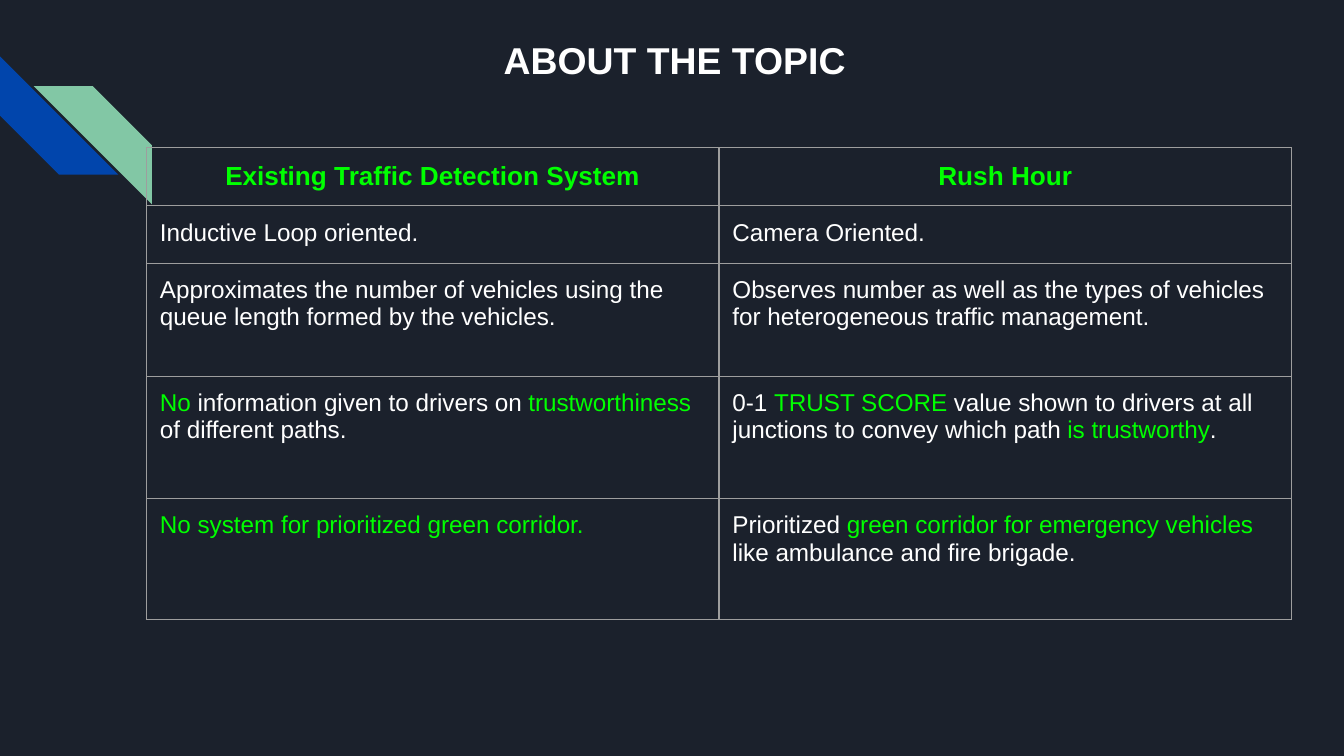
"""Build a slide comparing the existing traffic detection system with Rush Hour."""
from dataclasses import dataclass

from lxml import etree
from pptx import Presentation
from pptx.dml.color import RGBColor
from pptx.enum.shapes import MSO_SHAPE
from pptx.enum.text import MSO_ANCHOR, PP_ALIGN
from pptx.oxml.ns import qn
from pptx.util import Inches, Pt

STRIPE = MSO_SHAPE.DIAGONAL_STRIPE
CENTER, LEFT = PP_ALIGN.CENTER, PP_ALIGN.LEFT
TOP = MSO_ANCHOR.TOP
FONT = "Arial"
COLORS = {
    "background": "1B212C",
    "blue": "0145AC",
    "mint": "82C7A5",
    "text": "FFFFFF",
    "accent": "00FF00",
    "border": "9E9E9E",
}
SLIDE_WIDTH = Inches(10)
SLIDE_HEIGHT = SLIDE_WIDTH * 9 // 16
STRIPE_SIZE = Inches(0.88)
MARGIN = Inches(0.1)
COLUMN_WIDTH = 4.26
ROW_HEIGHTS = (0.43, 0.43, 0.84, 0.91, 0.9)


@dataclass(frozen=True)
class Stripe:
    left: float
    top: float
    rotation: int
    color: str


@dataclass(frozen=True)
class Phrase:
    text: str
    color: str = "text"


def accent(text: str) -> Phrase:
    return Phrase(text, "accent")


STRIPES = (Stripe(0, 0.42, 270, "blue"), Stripe(0.25, 0.64, 90, "mint"))
COMPARISON = (
    ([accent("Existing Traffic Detection System")], [accent("Rush Hour")]),
    ([Phrase("Inductive Loop oriented.")], [Phrase("Camera Oriented.")]),
    (
        [Phrase("Approximates the number of vehicles using the queue length formed by the vehicles.")],
        [Phrase("Observes number as well as the types of vehicles for heterogeneous traffic management.")],
    ),
    (
        [
            accent("No "),
            Phrase("information given to drivers on "),
            accent("trustworthiness "),
            Phrase("of different paths."),
        ],
        [
            Phrase("0-1 "),
            accent("TRUST SCORE"),
            Phrase(" value shown to drivers at all junctions to convey which path "),
            accent("is trustworthy"),
            Phrase("."),
        ],
    ),
    (
        [accent("No system for prioritized green corridor.")],
        [
            Phrase("Prioritized "),
            accent("green corridor for emergency vehicles"),
            Phrase(" like ambulance and fire brigade."),
        ],
    ),
)


def rgb(name: str) -> RGBColor:
    return RGBColor.from_string(COLORS[name])


def format_run(run, size: int, color: str, bold: bool) -> None:
    run.font.name = FONT
    run.font.size = Pt(size)
    run.font.bold = bold
    run.font.color.rgb = rgb(color)


def set_margins(holder) -> None:
    holder.margin_left = holder.margin_right = MARGIN
    holder.margin_top = holder.margin_bottom = MARGIN
    holder.vertical_anchor = TOP


def draw_stripe(slide, stripe: Stripe) -> None:
    band = slide.shapes.add_shape(
        STRIPE, Inches(stripe.left), Inches(stripe.top), STRIPE_SIZE, STRIPE_SIZE
    )
    band.rotation = stripe.rotation
    band.shadow.inherit = False
    band.fill.solid()
    band.fill.fore_color.rgb = rgb(stripe.color)
    band.line.fill.background()


def write_title(slide, text: str) -> None:
    title = slide.shapes.title
    title.left, title.top = Inches(1.17), Inches(0.18)
    title.width, title.height = Inches(7.7), Inches(0.6)
    frame = title.text_frame
    set_margins(frame)
    frame.text = text
    heading = frame.paragraphs[0]
    heading.alignment = CENTER
    format_run(heading.runs[0], 20, "text", True)


def add_borders(cell) -> None:
    properties = cell._tc.get_or_add_tcPr()
    for side in ("a:lnL", "a:lnR", "a:lnT", "a:lnB"):
        border = etree.SubElement(properties, qn(side), w=str(Pt(0.75)))
        fill = etree.SubElement(border, qn("a:solidFill"))
        etree.SubElement(fill, qn("a:srgbClr"), val=COLORS["border"])


def fill_cell(cell, phrases: list[Phrase], is_header: bool) -> None:
    set_margins(cell)
    add_borders(cell)
    cell.fill.background()
    paragraph = cell.text_frame.paragraphs[0]
    paragraph.alignment = CENTER if is_header else LEFT
    for phrase in phrases:
        run = paragraph.add_run()
        run.text = phrase.text
        format_run(run, 14 if is_header else 13, phrase.color, is_header)


def draw_comparison(slide) -> None:
    columns = len(COMPARISON[0])
    table = slide.shapes.add_table(
        len(COMPARISON), columns, Inches(1.09), Inches(1.1),
        Inches(COLUMN_WIDTH * columns), Inches(sum(ROW_HEIGHTS)),
    ).table
    table.first_row = table.horz_banding = False
    for column in table.columns:
        column.width = Inches(COLUMN_WIDTH)
    for row_index, (height, entries) in enumerate(zip(ROW_HEIGHTS, COMPARISON)):
        table.rows[row_index].height = Inches(height)
        for column_index, phrases in enumerate(entries):
            fill_cell(table.cell(row_index, column_index), phrases, row_index == 0)


def main() -> None:
    presentation = Presentation()
    presentation.slide_width = SLIDE_WIDTH
    presentation.slide_height = SLIDE_HEIGHT
    slide = presentation.slides.add_slide(presentation.slide_layouts.get_by_name("Title Only"))
    slide.background.fill.solid()
    slide.background.fill.fore_color.rgb = rgb("background")
    for stripe in STRIPES:
        draw_stripe(slide, stripe)
    write_title(slide, "ABOUT THE TOPIC")
    draw_comparison(slide)
    presentation.save("out.pptx")


if __name__ == "__main__":
    main()
